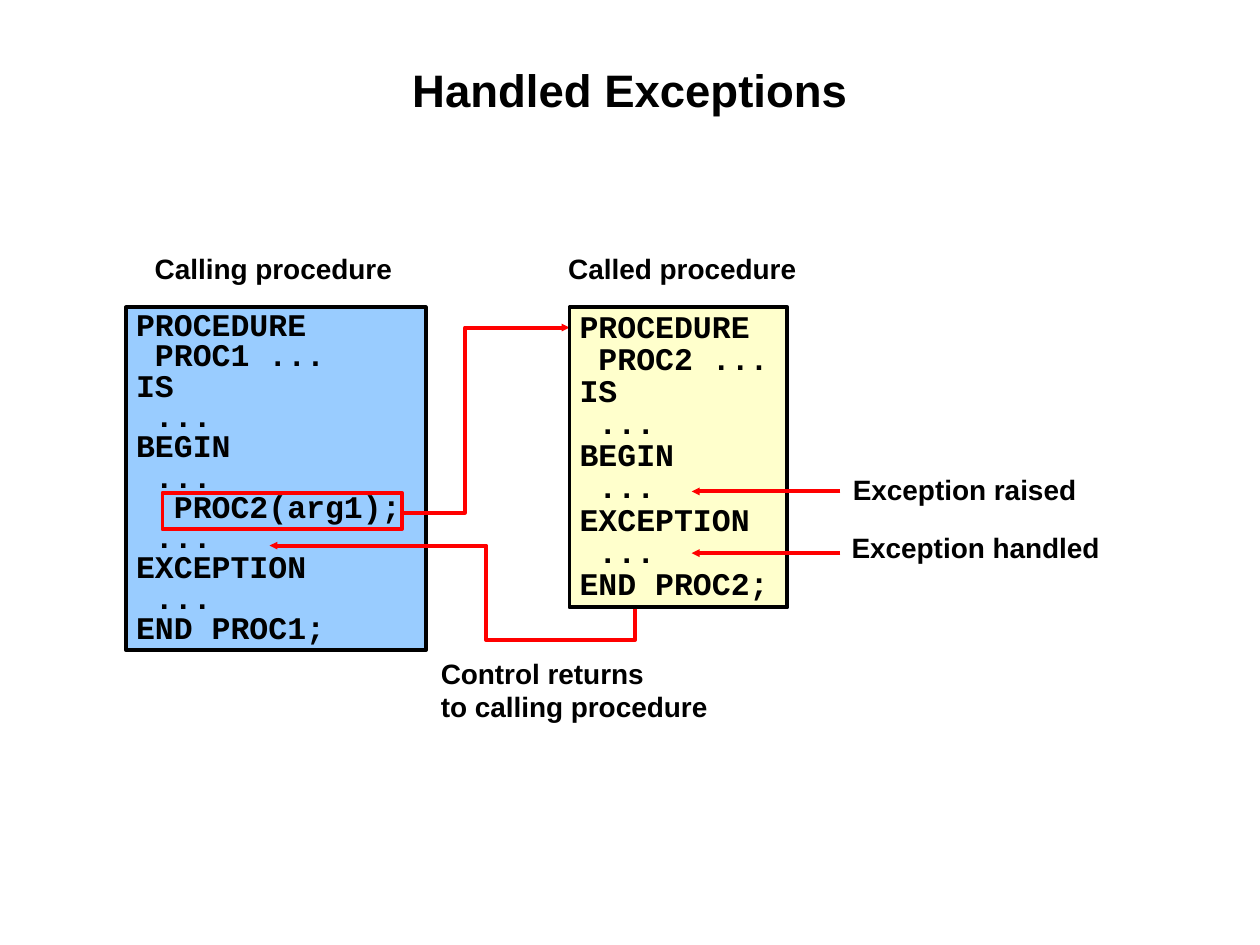
from lxml import etree
from pptx import Presentation
from pptx.dml.color import RGBColor
from pptx.enum.shapes import MSO_CONNECTOR, MSO_SHAPE
from pptx.enum.text import MSO_ANCHOR, MSO_AUTO_SIZE, PP_ALIGN
from pptx.oxml.ns import qn
from pptx.util import Inches, Pt

RECTANGLE = MSO_SHAPE.RECTANGLE
STRAIGHT = MSO_CONNECTOR.STRAIGHT
TOP = MSO_ANCHOR.TOP
NO_AUTOFIT = MSO_AUTO_SIZE.NONE
LEFT, CENTER = PP_ALIGN.LEFT, PP_ALIGN.CENTER

COLORS = {
    "text": "000000",
    "border": "000000",
    "calling": "99CCFF",
    "called": "FFFFCC",
    "flow": "FF0000",
}

CALLING_CODE = """PROCEDURE
 PROC1 ...
IS
 ...
BEGIN
 ...
  PROC2(arg1);
 ...
EXCEPTION
 ...
END PROC1;"""

CALLED_CODE = """PROCEDURE
 PROC2 ...
IS
 ...
BEGIN
 ...
EXCEPTION
 ...
END PROC2;"""


class SlideBuilder:
    """Holds the style and the current slide."""

    label_font = "Arial"
    code_font = "Courier New"
    line_width = Pt(2.25)

    def __init__(self, slide):
        self.slide = slide
        self.shapes = slide.shapes

    def color(self, name):
        return RGBColor.from_string(COLORS[name])

    def fill_text(self, shape, text, font, size, align, margins, spacing=None):
        frame = shape.text_frame
        frame.text = text
        frame.word_wrap = True
        frame.auto_size = NO_AUTOFIT
        frame.vertical_anchor = TOP
        frame.margin_left = frame.margin_right = Inches(margins[0])
        frame.margin_top = frame.margin_bottom = Inches(margins[1])
        for para in frame.paragraphs:
            para.alignment = align
            para.line_spacing = spacing
            for span in para.runs:
                span.font.name = font
                span.font.size = Pt(size)
                span.font.bold = True
                span.font.color.rgb = self.color("text")

    def outline(self, shape, color):
        shape.line.color.rgb = self.color(color)
        shape.line.width = self.line_width

    def arrowhead(self, shape):
        line = shape._element.spPr.find(qn("a:ln"))
        etree.SubElement(line, qn("a:tailEnd"), type="triangle", w="sm", len="sm")

    def title(self, text, *place):
        title = self.shapes.title
        title.left, title.top, title.width, title.height = map(Inches, place)
        self.fill_text(title, text, self.label_font, 26, CENTER, (0.01, 0.01))

    def label(self, text, *place, align=LEFT, spacing=None):
        box = self.shapes.add_textbox(*map(Inches, place))
        self.fill_text(box, text, self.label_font, 16, align, (0.1, 0.05), spacing)

    def rectangle(self, *place, border, fill=None):
        box = self.shapes.add_shape(RECTANGLE, *map(Inches, place))
        box.shadow.inherit = False
        self.outline(box, border)
        if fill:
            box.fill.solid()
            box.fill.fore_color.rgb = self.color(fill)
        else:
            box.fill.background()
        return box

    def code_box(self, code, *place, fill, spacing):
        box = self.rectangle(*place, border="border", fill=fill)
        self.fill_text(box, code, self.code_font, 18, LEFT, (0.08, 0.04), spacing)

    def route(self, *points):
        start, *rest = [(Inches(x), Inches(y)) for x, y in points]
        builder = self.shapes.build_freeform(*start)
        builder.add_line_segments(rest, close=False)
        route = builder.convert_to_shape()
        route.shadow.inherit = False
        route.fill.background()
        self.outline(route, "flow")
        self.arrowhead(route)

    def arrow(self, *ends):
        line = self.shapes.add_connector(STRAIGHT, *map(Inches, ends))
        self.outline(line, "flow")
        self.arrowhead(line)
        etree.SubElement(line._element.spPr, qn("a:effectLst"))


def main():
    deck = Presentation()
    deck.slide_width, deck.slide_height = Inches(10), Inches(7.5)
    page = SlideBuilder(deck.slides.add_slide(deck.slide_layouts[5]))

    page.title("Handled Exceptions", 0.67, 0.48, 8.66, 0.96)

    # Calling procedure, with its call framed
    page.code_box(CALLING_CODE, 1, 2.44, 2.38, 2.72, fill="calling", spacing=0.8)
    page.label("Calling procedure", 0.92, 1.97, 2.5, 0.35,
               align=CENTER, spacing=0.95)
    page.route((3.19, 4.07), (3.69, 4.07), (3.69, 2.6), (4.52, 2.6))
    page.rectangle(1.29, 3.91, 1.9, 0.29, border="flow")

    # Called procedure
    page.label("Called procedure", 4.25, 1.97, 2.33, 0.35,
               align=CENTER, spacing=0.95)
    page.code_box(CALLED_CODE, 4.52, 2.44, 1.73, 2.38, fill="called", spacing=0.85)

    # Exception markers
    for y in (3.9, 4.39):
        page.arrow(6.67, y, 5.49, y)
    page.label("Exception raised", 6.67, 3.7, 2.25, 0.37)
    page.label("Exception handled", 6.66, 4.16, 2.42, 0.37)

    # Return to the calling procedure
    page.label("Control returns\vto calling procedure", 3.4, 5.16, 2.6, 0.63)
    page.route((5.04, 4.83), (5.04, 5.08), (3.86, 5.08), (3.86, 4.33), (2.14, 4.33))

    deck.save("out.pptx")


if __name__ == "__main__":
    main()
